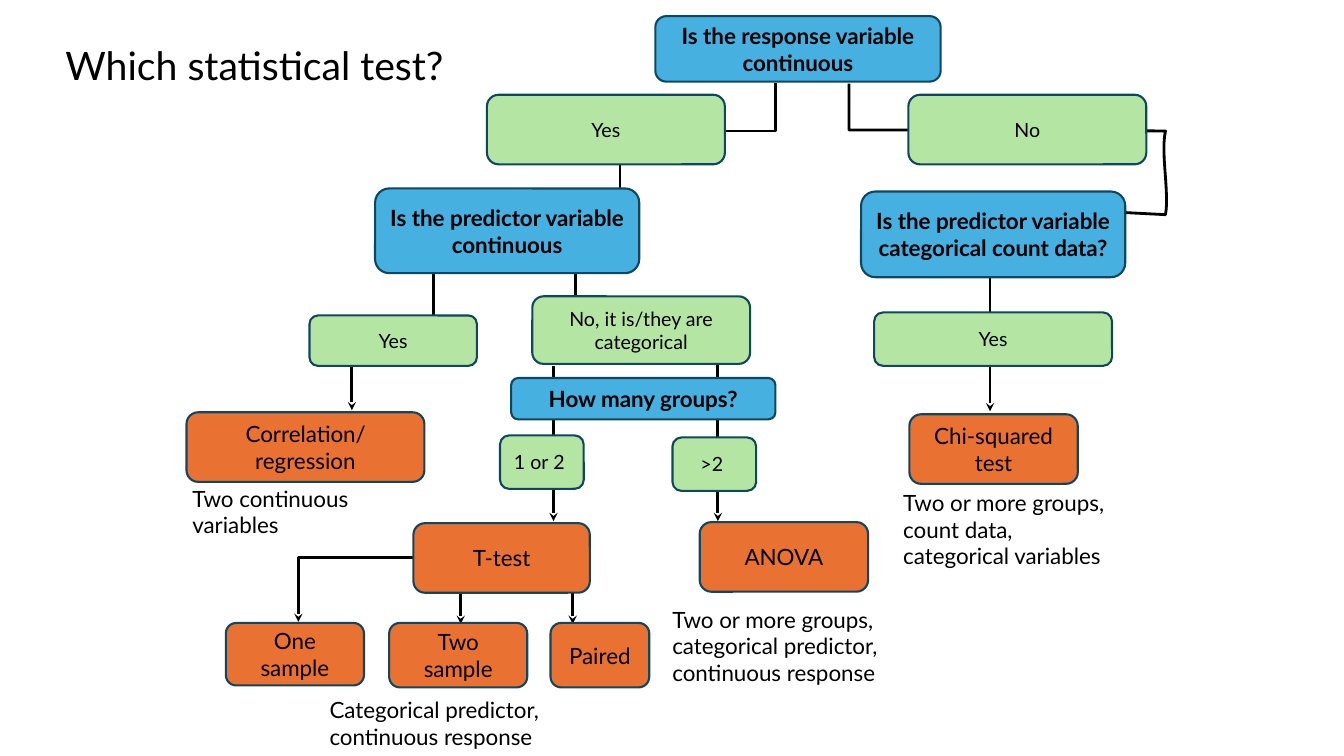
"""Build a one-slide decision tree for choosing a statistical test."""
from lxml.etree import SubElement
from pptx import Presentation
from pptx.dml.color import RGBColor
from pptx.enum.shapes import MSO_CONNECTOR, MSO_SHAPE
from pptx.enum.text import MSO_ANCHOR, MSO_AUTO_SIZE, PP_ALIGN
from pptx.oxml.ns import qn
from pptx.util import Inches, Pt

COLORS = {
    "question": "46B1E1",
    "answer": "B4E5A2",
    "test": "E97132",
    "outline": "104760",
    "ink": "000000",
}
FONTS = {
    "title": {"name": "Lato", "size": Pt(28), "bold": False},
    "question": {"name": "Lato", "size": Pt(16), "bold": True},
    "answer": {"name": "Lato", "size": Pt(14), "bold": False},
    "test": {"name": "Lato", "size": Pt(16), "bold": False},
    "note": {"name": "Lato", "size": Pt(16), "bold": False},
}
BOX_FRAME = {"word_wrap": True, "vertical_anchor": MSO_ANCHOR.MIDDLE}
LABEL_FRAME = {"word_wrap": True, "auto_size": MSO_AUTO_SIZE.SHAPE_TO_FIT_TEXT}


def write(holder, text, role, frame_format, align):
    frame = holder.text_frame
    for key, value in frame_format.items():
        setattr(frame, key, value)
    paragraph = frame.paragraphs[0]
    paragraph.alignment = align
    run = paragraph.add_run()
    run.text = text
    for key, value in FONTS[role].items():
        setattr(run.font, key, value)
    run.font.color.rgb = RGBColor.from_string(COLORS["ink"])


def style_arrow(arrow):
    arrow.line.color.rgb = RGBColor.from_string(COLORS["ink"])
    arrow.line.width = Pt(2)
    properties = arrow.element.spPr
    SubElement(properties.find(qn("a:ln")), qn("a:tailEnd"), type="stealth")
    if properties.find(qn("a:effectLst")) is None:
        SubElement(properties, qn("a:effectLst"))


presentation = Presentation()
presentation.slide_width = Inches(13.33)
presentation.slide_height = Inches(7.5)
slide = presentation.slides.add_slide(presentation.slide_layouts[6])
shapes = slide.shapes

drops = [
    (5.68, 5.87, 6.19),
    (4.57, 5.5, 6.19),
    (7.12, 3.61, 5.17),
    (5.71, 2.58, 3.49),
    (4.3, 2.42, 3.42),
    (9.82, 2.69, 4.08),
    (6.15, 1.33, 2.2),
    (3.49, 3.63, 4.07),
    (5.49, 3.63, 5.17),
]
for x, top, bottom in drops:
    drop = shapes.add_connector(
        MSO_CONNECTOR.STRAIGHT, Inches(x), Inches(top), Inches(x), Inches(bottom)
    )
    style_arrow(drop)

bow_controls = [(11.56, 1.3), (11.51, 1.51), (11.6, 1.92), (11.56, 2.13)]
bow = []
for step in range(13):
    t = step / 12
    weights = [(1 - t) ** 3, 3 * t * (1 - t) ** 2, 3 * t**2 * (1 - t), t**3]
    bow.append(
        tuple(
            sum(weight * point[axis] for weight, point in zip(weights, bow_controls))
            for axis in (0, 1)
        )
    )

bends = [
    [(7.69, 0.82), (7.69, 1.3), (5.07, 1.3)],
    [(8.42, 0.83), (8.42, 1.29), (9.44, 1.29), *bow, (10.78, 2.09)],
    [(4.23, 5.53), (2.96, 5.53), (2.96, 6.17)],
]
for bend in bends:
    corners = [(Inches(x), Inches(y)) for x, y in bend]
    outline = shapes.build_freeform(*corners[0])
    outline.add_line_segments(corners[1:], close=False)
    route = outline.convert_to_shape()
    route.fill.background()
    route.shadow.inherit = False
    style_arrow(route)

boxes = [
    ("question", "Is the response variable continuous", 6.5, 0.16, 2.83, 0.65),
    ("answer", "Yes", 4.83, 0.94, 2.36, 0.69),
    ("answer", "No", 9.01, 0.94, 2.36, 0.69),
    ("question", "Is the predictor variable continuous", 3.72, 1.87, 2.62, 0.84),
    ("question", "Is the predictor variable categorical count data?", 8.54, 1.9, 2.62, 0.85),
    ("answer", "Yes", 3.07, 3.13, 1.66, 0.5),
    ("answer", "No, it is/they are categorical", 5.28, 2.94, 2.16, 0.67),
    ("answer", "Yes", 8.67, 3.1, 2.36, 0.53),
    ("question", "How many groups?", 5.07, 3.75, 2.62, 0.41),
    ("answer", "1 or 2 ", 4.96, 4.32, 0.83, 0.53),
    ("answer", ">2 ", 6.67, 4.34, 0.83, 0.53),
    ("test", "Correlation/regression", 1.85, 4.09, 2.36, 0.69),
    ("test", "Chi-squared test", 9.02, 4.11, 1.67, 0.69),
    ("test", "T-test", 4.1, 5.19, 1.75, 0.69),
    ("test", "ANOVA", 6.94, 5.18, 1.67, 0.69),
    ("test", "One sample", 2.24, 6.18, 1.37, 0.62),
    ("test", "Two sample", 3.86, 6.18, 1.37, 0.64),
    ("test", "Paired", 5.46, 6.18, 0.98, 0.64),
]
for role, text, *place in boxes:
    box = shapes.add_shape(
        MSO_SHAPE.FLOWCHART_ALTERNATE_PROCESS, *[Inches(length) for length in place]
    )
    box.shadow.inherit = False
    box.fill.solid()
    box.fill.fore_color.rgb = RGBColor.from_string(COLORS[role])
    box.line.color.rgb = RGBColor.from_string(COLORS["outline"])
    box.line.width = Pt(1.5)
    write(box, text, role, BOX_FRAME, PP_ALIGN.CENTER)

labels = [
    ("title", "Which statistical test?", 0.55, 0.36, 5.74, 0.57),
    ("note", "Two continuous variables", 1.81, 4.76, 2.43, 0.64),
    ("note", "Two or more groups, count data, categorical variables", 8.86, 4.8, 2.22, 0.91),
    ("note", "Categorical predictor, continuous response", 3.17, 6.86, 3.23, 0.64),
    ("note", "Two or more groups, categorical predictor, continuous response", 6.57, 5.96, 2.33, 0.91),
]
for role, text, *place in labels:
    label = shapes.add_textbox(*[Inches(length) for length in place])
    write(label, text, role, LABEL_FRAME, PP_ALIGN.LEFT)

presentation.save("out.pptx")
